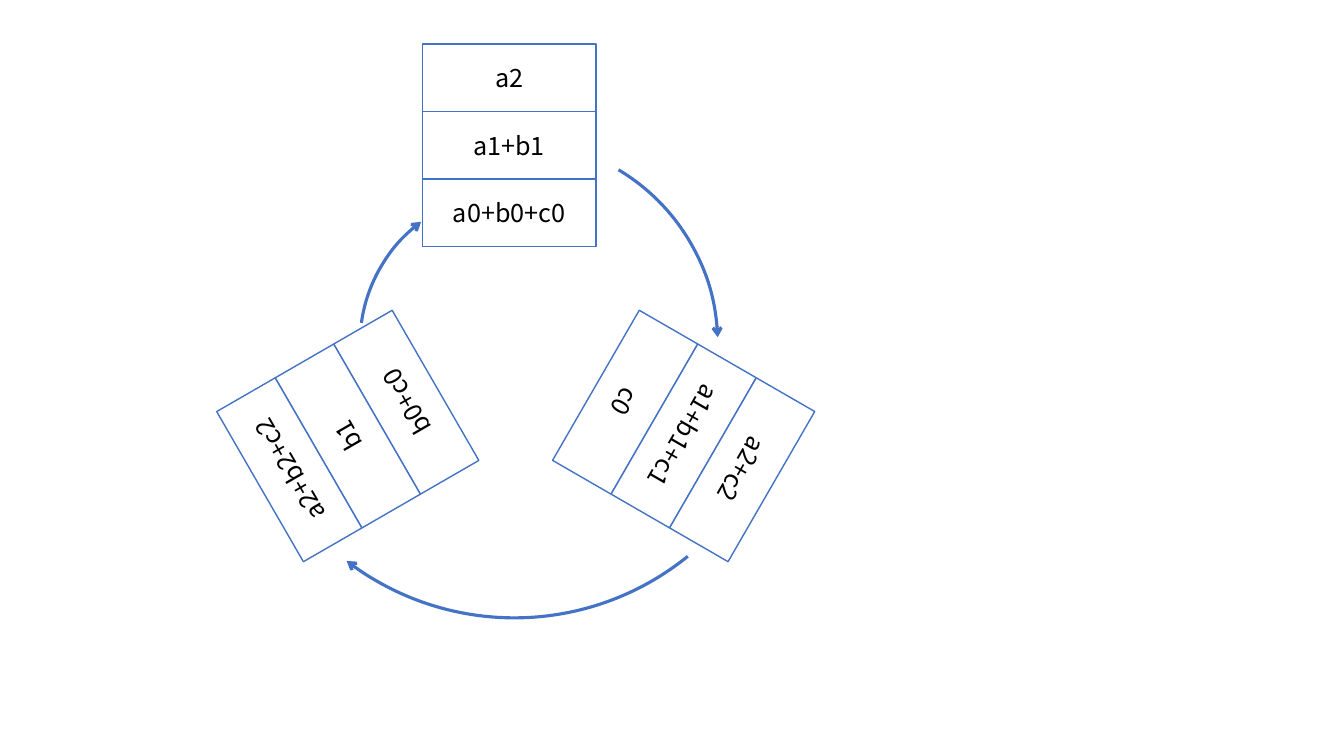
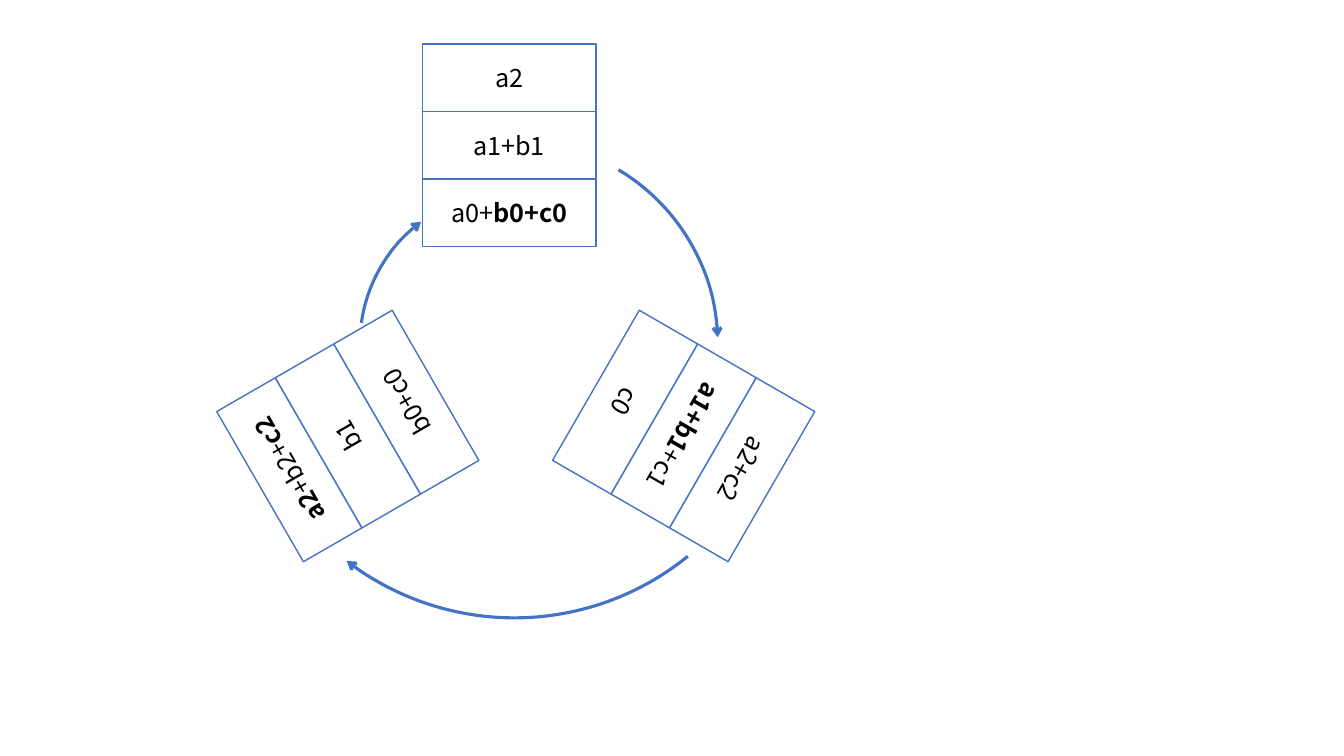
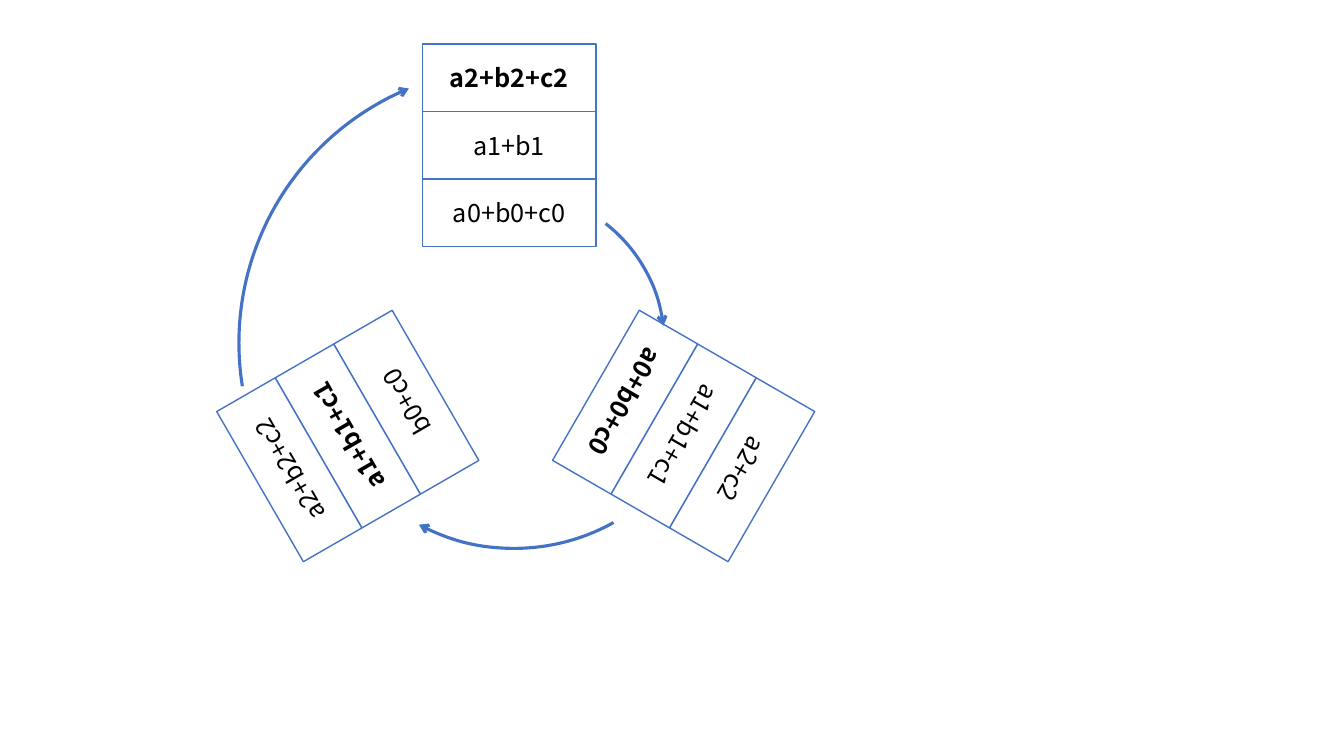
import math

from lxml import etree
from pptx import Presentation
from pptx.dml.color import RGBColor
from pptx.enum import shapes, text
from pptx.oxml import ns
from pptx.util import Inches, Pt

BLUE = RGBColor(0x44, 0x72, 0xC4)
WHITE = RGBColor(0xFF, 0xFF, 0xFF)
BLACK = RGBColor(0x00, 0x00, 0x00)
FONT = "Noto Sans CJK SC"

CELL_W, CELL_H = 1.72, 0.67
THIRD_TURN = 120

# name: (x and y of the innermost cell's centre, rotation)
NODES = {
    "top": (5.05, 2.11, 0),
    "left": (4.03, 3.99, 240),
    "right": (6.2, 3.99, 120),
}

# centre x, centre y, diameter, rotation, start angle, end angle
ARCS = [
    (5.1, 3.4, 5.46, 119.9, 291.02, 7.62),
    (5.1, 3.42, 4.04, 0.4, 300.43, 357.51),
    (5.08, 3.41, 3.02, 241.7, 306.18, 351.55),
]

# cells run from the innermost outwards; ** switches bold on and off
STEPS = [
    ({"top": ["a0+b0+c0", "a1+b1", "a2"],
      "left": ["b0+c0", "b1", "a2+b2+c2"],
      "right": ["c0", "a1+b1+c1", "a2+c2"]}, 0),
    ({"top": ["a0+**b0+c0**", "a1+b1", "a2"],
      "left": ["b0+c0", "b1", "**a2**+b2+**c2**"],
      "right": ["c0", "**a1+b1**+c1", "a2+c2"]}, 0),
    ({"top": ["a0+b0+c0", "a1+b1", "**a2+b2+c2**"],
      "left": ["b0+c0", "**a1+b1+c1**", "a2+b2+c2"],
      "right": ["**a0+b0+c0**", "a1+b1+c1", "a2+c2"]}, THIRD_TURN),
]


def write(frame, content, size=18, color=BLACK, align=text.PP_ALIGN.CENTER):
    """Write one paragraph, with the parts between ** in bold."""
    frame.word_wrap = True
    frame.vertical_anchor = text.MSO_ANCHOR.MIDDLE
    paragraph = frame.paragraphs[0]
    paragraph.alignment = align
    for index, part in enumerate(content.split("**")):
        if part:
            run = paragraph.add_run()
            run.text = part
            run.font.name = FONT
            run.font.size = Pt(size)
            run.font.bold = index % 2 == 1
            run.font.color.rgb = color


def add_outline(parent, kind, center_x, center_y, width, height, rotation, weight):
    """Add a rotated blue-lined shape around a centre point."""
    outline = parent.add_shape(kind, Inches(center_x - width / 2), Inches(center_y - height / 2),
                               Inches(width), Inches(height))
    outline.rotation = rotation
    outline.shadow.inherit = False
    outline.line.color.rgb = BLUE
    outline.line.width = Pt(weight)
    return outline


def add_node(slide, center_x, center_y, rotation, labels):
    """Stack a node's cells outwards from its innermost cell."""
    node = slide.shapes.add_group_shape()
    angle = math.radians(rotation)
    for index, label in enumerate(labels):
        distance = index * CELL_H
        cell = add_outline(node.shapes, shapes.MSO_SHAPE.RECTANGLE,
                           center_x + distance * math.sin(angle),
                           center_y - distance * math.cos(angle),
                           CELL_W, CELL_H, rotation, 1)
        cell.fill.solid()
        cell.fill.fore_color.rgb = WHITE
        write(cell.text_frame, label)


def add_arc(slide, center_x, center_y, diameter, rotation, start, end):
    """Add a clockwise arc with an arrowhead at its end."""
    arc = add_outline(slide.shapes, shapes.MSO_SHAPE.ARC, center_x, center_y,
                      diameter, diameter, rotation, 2.25)
    arc.fill.background()
    for index, degrees in enumerate((start, end)):
        arc.adjustments[index] = degrees * 60000 / 100000
    line = arc.line._get_or_add_ln()
    etree.SubElement(line, ns.qn("a:tailEnd"), type="arrow")


def add_step(deck, labels, turn):
    """Build one slide of the ring, with its arcs turned by an angle."""
    slide = deck.slides.add_slide(deck.slide_layouts[6])
    for name, place in NODES.items():
        add_node(slide, *place, labels[name])
    for center_x, center_y, diameter, rotation, start, end in ARCS:
        add_arc(slide, center_x, center_y, diameter, (rotation + turn) % 360, start, end)


def main():
    """Build and save the deck."""
    deck = Presentation()
    deck.slide_width, deck.slide_height = Inches(13.33), Inches(7.5)
    for labels, turn in STEPS:
        add_step(deck, labels, turn)
    deck.save("out.pptx")


if __name__ == "__main__":
    main()
